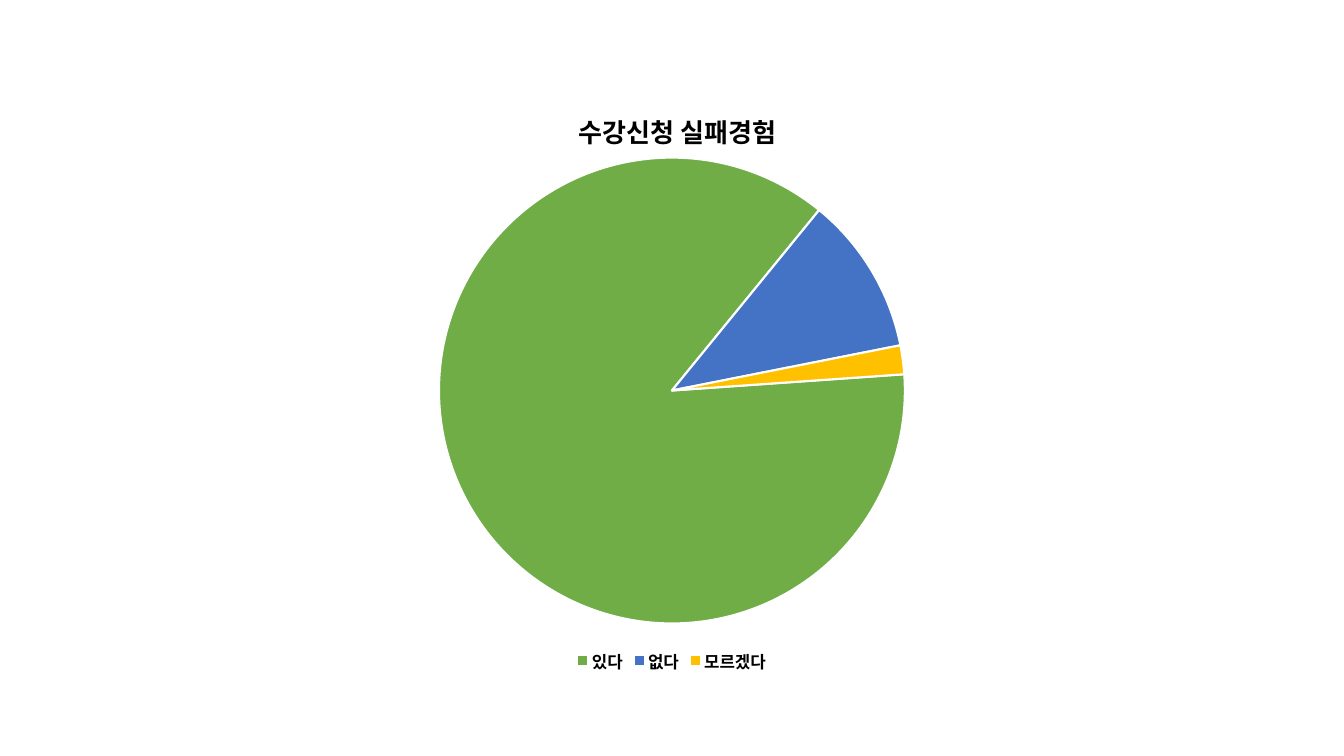
from lxml import etree
from pptx import Presentation
from pptx.chart.data import CategoryChartData
from pptx.dml.color import RGBColor
from pptx.enum import chart as charts
from pptx.oxml import ns
from pptx.util import Pt

FONT = "Noto Sans CJK KR"
COLORS = {"yes": "70AD47", "no": "4472C4", "unsure": "FFC000",
          "text": "000000", "border": "FFFFFF"}


def style_font(font, size, bold):
    font.name = FONT
    font.size = Pt(size)
    font.bold = bold
    font.color.rgb = RGBColor.from_string(COLORS["text"])


def set_layout(parent, index, **values):
    """Place a chart part by fractions of the chart area."""
    for old in parent.findall(ns.qn("c:layout")):
        parent.remove(old)
    layout = etree.Element(ns.qn("c:layout"))
    manual = etree.SubElement(layout, ns.qn("c:manualLayout"))
    for name, value in values.items():
        etree.SubElement(manual, ns.qn("c:" + name)).set("val", str(value))
    parent.insert(index, layout)


presentation = Presentation()
presentation.slide_width = Pt(960)
presentation.slide_height = Pt(540)
slide = presentation.slides.add_slide(presentation.slide_layouts[6])

# Survey answers
answers = CategoryChartData()
answers.categories = ["있다", "없다", "모르겠다"]
answers.add_series("Series 1", (87, 11, 2))

# Pie chart
frame = slide.shapes.add_chart(charts.XL_CHART_TYPE.PIE, Pt(160), Pt(57),
                               Pt(640), Pt(427), answers)
chart = frame.chart
style_font(chart.font, 10, False)
plot = chart.plots[0]
plot.vary_by_categories = True
for index, answer in enumerate(("yes", "no", "unsure")):
    point_format = plot.series[0].points[index].format
    point_format.fill.solid()
    point_format.fill.fore_color.rgb = RGBColor.from_string(COLORS[answer])
    point_format.line.color.rgb = RGBColor.from_string(COLORS["border"])
    point_format.line.width = Pt(1.5)

# Rotation of the first slice
pie = chart.element.find(".//" + ns.qn("c:pieChart"))
for old in pie.findall(ns.qn("c:firstSliceAng")):
    pie.remove(old)
etree.SubElement(pie, ns.qn("c:firstSliceAng")).set("val", "86")
set_layout(pie.getparent(), 0, layoutTarget="inner", xMode="edge",
           yMode="edge", x=0.24, y=0.13, w=0.52, h=0.78)

# Title
chart.has_title = True
title = chart.chart_title
title.include_in_layout = False
run = title.text_frame.paragraphs[0].add_run()
run.text = "수강신청 실패경험"
style_font(run.font, 18.6, True)
set_layout(title.element if hasattr(title, "element") else title._element, 1,
           xMode="edge", yMode="edge", x=0.39, y=0.04)

# Legend
chart.has_legend = True
chart.legend.position = charts.XL_LEGEND_POSITION.BOTTOM
chart.legend.include_in_layout = False
style_font(chart.legend.font, 12, True)

presentation.save("out.pptx")
